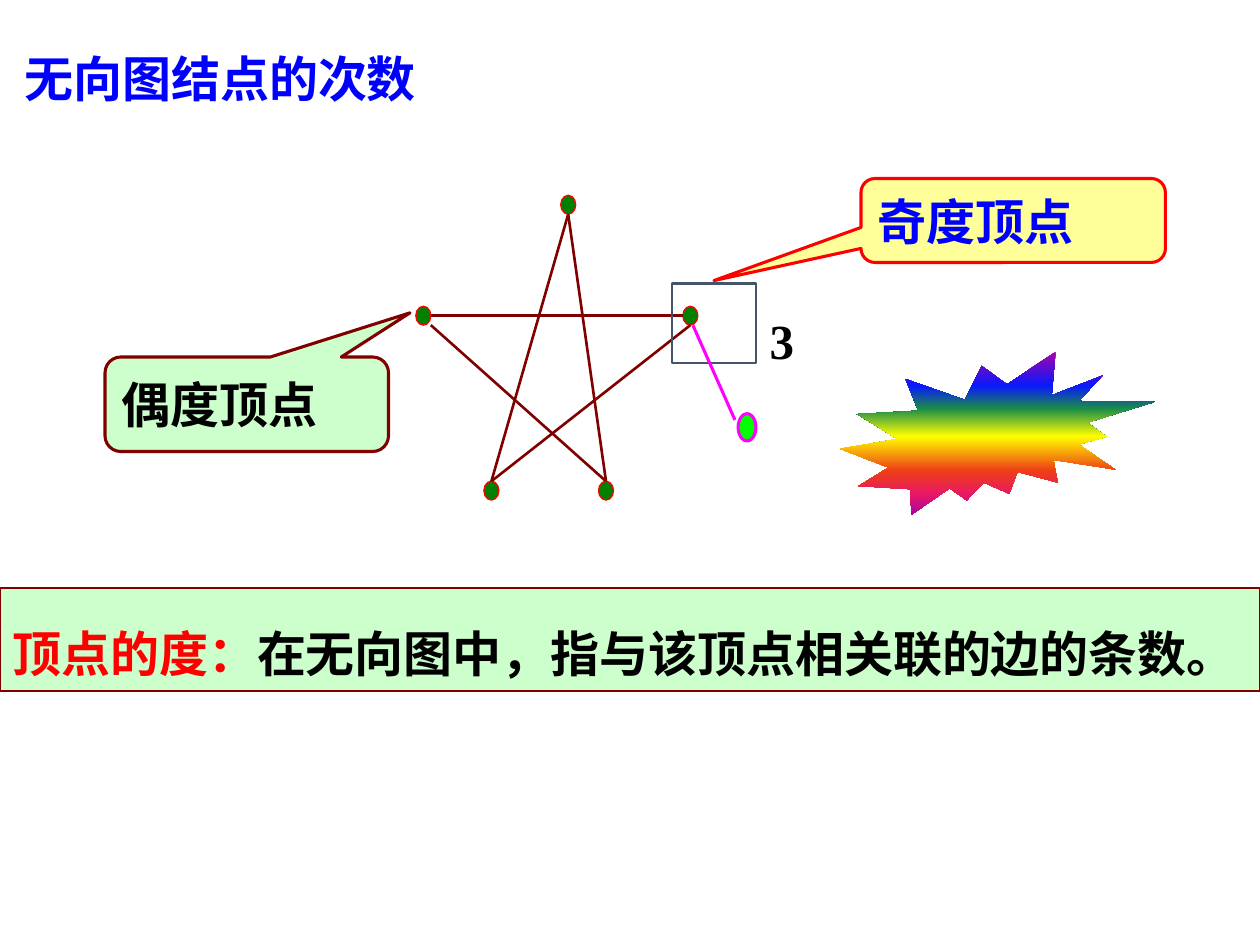
from lxml.etree import SubElement
from pptx import Presentation
from pptx.dml.color import RGBColor
from pptx.enum.shapes import MSO_CONNECTOR, MSO_SHAPE
from pptx.enum.text import MSO_ANCHOR, MSO_AUTO_SIZE, PP_ALIGN
from pptx.oxml.ns import qn
from pptx.util import Pt

NODE_WIDTH, NODE_HEIGHT = 8.6, 10.8
NODES = {
    "right": (394.5, 180.4),
    "lower left": (280.8, 280.4),
    "left": (241.9, 180.4),
    "lower right": (346.3, 280.4),
    "top": (324.7, 117),
}
EDGES = [
    (("left", 1, 0), ("right", -1, 0)),
    (("top", 0, 1), ("lower left", 0, -1)),
    (("top", 0, 1), ("lower right", 0, -1)),
    (("left", 1, 1), ("lower right", 0, -1)),
    (("lower left", 0, -1), ("right", 0, 1)),
]
RAINBOW = [(0, "A603AB"), (21, "0819FB"), (35, "1A8D48"), (52, "FFFF00"),
           (73, "EE3F17"), (88, "E81766"), (100, "A603AB")]


def color(hex_value):
    """Return the colour for a hex string."""
    return RGBColor.from_string(hex_value)


def add_shape(shapes, kind, box, fill=None, line=None, width=1.5):
    """Add a flat preset shape with optional fill and outline."""
    shape = shapes.add_shape(kind, *map(Pt, box))
    shape.shadow.inherit = False
    if fill:
        shape.fill.solid()
        shape.fill.fore_color.rgb = color(fill)
    else:
        shape.fill.background()
    if line:
        shape.line.color.rgb = color(line)
        shape.line.width = Pt(width)
    else:
        shape.line.fill.background()
    return shape


def add_line(shapes, start, end, line, width):
    """Add a straight line without shadow."""
    connector = shapes.add_connector(
        MSO_CONNECTOR.STRAIGHT, *map(Pt, (*start, *end)))
    connector.line.color.rgb = color(line)
    connector.line.width = Pt(width)
    SubElement(connector._element.spPr, qn("a:effectLst"))


def write_text(shape, runs, anchor=MSO_ANCHOR.TOP, wrap=True):
    """Write one bold left-aligned paragraph of coloured runs."""
    frame = shape.text_frame
    frame.word_wrap = wrap
    frame.vertical_anchor = anchor
    paragraph = frame.paragraphs[0]
    paragraph.alignment = PP_ALIGN.LEFT
    font = paragraph.font
    font.name, font.size, font.bold = "Times New Roman", Pt(28), True
    for text, hex_value in runs:
        run = paragraph.add_run()
        run.text = text
        run.font.color.rgb = color(hex_value)
    return frame


def add_label(slide, box, text, hex_value, wrap=True):
    """Add a text box that grows with its text."""
    label = slide.shapes.add_textbox(*map(Pt, box))
    frame = write_text(label, [(text, hex_value)], wrap=wrap)
    frame.auto_size = MSO_AUTO_SIZE.SHAPE_TO_FIT_TEXT
    return frame


def add_callout(slide, box, tail, fill, line, text, hex_value):
    """Add a rounded callout whose tail points at a vertex."""
    callout = add_shape(slide.shapes, MSO_SHAPE.ROUNDED_RECTANGULAR_CALLOUT,
                        box, fill, line, 1.75)
    callout.adjustments[0], callout.adjustments[1] = tail
    write_text(callout, [(text, hex_value)], MSO_ANCHOR.MIDDLE)


def add_definition(slide):
    """Add the full-width definition band."""
    band = add_shape(slide.shapes, MSO_SHAPE.RECTANGLE,
                     (0, 336, 720, 59), "CCFFCC", "800000")
    frame = write_text(band, [
        ("顶点的度：", "FF0000"),
        ("在无向图中，指与该顶点相关联的边的条数。", "000000"),
    ])
    frame.paragraphs[0].line_spacing = 1.5


def anchor_point(name, horizontal, vertical):
    """Return a point on the bounding box of a graph node."""
    x, y = NODES[name]
    return x + horizontal * NODE_WIDTH / 2, y + vertical * NODE_HEIGHT / 2


def add_star_graph(slide):
    """Add the five nodes and five edges as one group."""
    shapes = slide.shapes.add_group_shape().shapes
    for name in NODES:
        box = (*anchor_point(name, -1, -1), NODE_WIDTH, NODE_HEIGHT)
        add_shape(shapes, MSO_SHAPE.OVAL, box, "008000", "FF0000", 0.75)
    for start, end in EDGES:
        add_line(shapes, anchor_point(*start), anchor_point(*end),
                 "800000", 1.5)


def add_rainbow_burst(slide):
    """Add the explosion shape with a vertical rainbow gradient."""
    burst = add_shape(slide.shapes, MSO_SHAPE.EXPLOSION2, (480, 201, 180, 93))
    burst.fill.gradient()
    gradient = burst._element.spPr.find(qn("a:gradFill"))
    for child in list(gradient):
        gradient.remove(child)
    stops = SubElement(gradient, qn("a:gsLst"))
    for percent, hex_value in RAINBOW:
        stop = SubElement(stops, qn("a:gs"), pos=str(percent * 1000))
        SubElement(stop, qn("a:srgbClr"), val=hex_value)
    SubElement(gradient, qn("a:lin"), ang="5400000", scaled="1")


def main():
    """Build and save the slide."""
    presentation = Presentation()
    presentation.slide_width, presentation.slide_height = Pt(720), Pt(540)
    slide = presentation.slides.add_slide(presentation.slide_layouts[6])
    title = add_label(slide, (0, 24, 291, 41), "无向图结点的次数", "0000FF")
    title.margin_left = Pt(14)
    add_definition(slide)
    add_star_graph(slide)
    add_shape(slide.shapes, MSO_SHAPE.RECTANGLE, (384, 162, 48, 45.4),
              line="44546A")
    add_shape(slide.shapes, MSO_SHAPE.OVAL, (421.8, 236.4, 10.2, 15.6),
              "00FF00", "FF00FF", 1.75)
    add_line(slide.shapes, (396, 186), (420, 240), "FF00FF", 1.75)
    add_callout(slide, (492, 102, 174, 48), (-0.983, 0.716),
                "FFFF99", "FF0000", "奇度顶点", "0000FF")
    add_label(slide, (432.7, 174, 28.8, 41), "3", "000000", wrap=False)
    add_callout(slide, (60, 204, 162, 54), (0.576, -0.968),
                "CCFFCC", "800000", "偶度顶点", "000000")
    add_rainbow_burst(slide)
    presentation.save("out.pptx")


if __name__ == "__main__":
    main()
